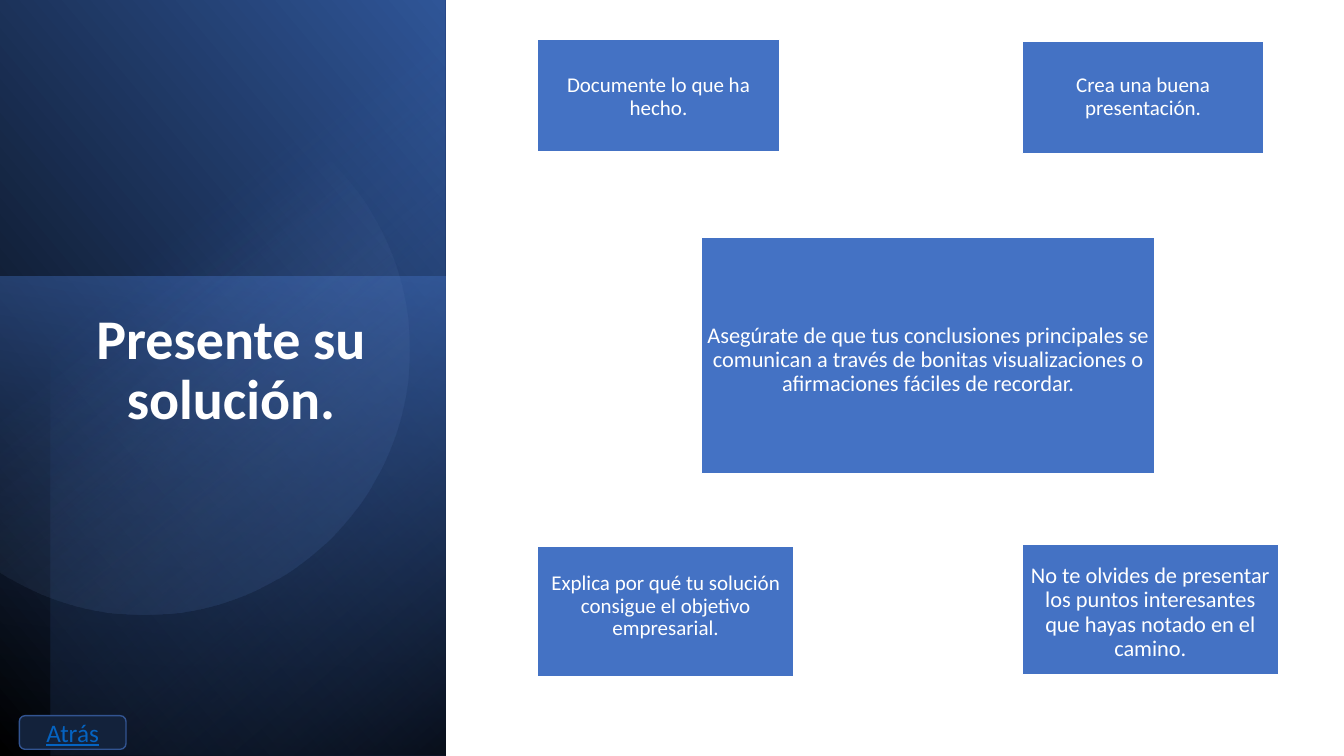
import math
import pptx
import pptx.dml.color
import pptx.enum.shapes
import pptx.enum.text
import pptx.oxml
import pptx.oxml.ns
import pptx.util

RGB = pptx.dml.color.RGBColor
WHITE = RGB(0xFF, 0xFF, 0xFF)
BLACK = RGB(0, 0, 0)
BLUE = RGB(0x44, 0x72, 0xC4)
DEEP_BLUE = RGB(0x2F, 0x55, 0x97)
NIGHT_BLUE = RGB(0x20, 0x38, 0x64)
PALE_BLUE = RGB(0x8F, 0xAA, 0xDC)
BUTTON_FILL = RGB(0x13, 0x22, 0x3B)
BUTTON_LINE = RGB(0x32, 0x54, 0x91)
LINK_BLUE = RGB(0x05, 0x63, 0xC1)

SLIDE_WIDTH, SLIDE_HEIGHT = pptx.util.Inches(13.33), pptx.util.Inches(7.5)
COLUMNS, ROWS = 16, 9
PANEL_BOX = (0, 0, 5.3, 9)
CARDS_BOX = (5.3, 0, 10.7, 9)
CARD_INSET = 0.07
SHAPES = pptx.enum.shapes.MSO_SHAPE
MIDDLE = pptx.enum.text.MSO_ANCHOR.MIDDLE

BACKDROPS = [
    ((0, 0, 5.3, 9), 90, True, 310, [(0, BLACK, 100), (100, DEEP_BLUE, 100)]),
    ((0, 3.29, 5.3, 5.71), 270, False, 190, [(0, BLUE, 50), (100, NIGHT_BLUE, 0)]),
    ((0.6, 0, 4.7, 9), 270, True, 220, [(0, BLACK, 59), (69, BLUE, 0)]),
]
CARDS = [
    ("Documente lo que ha hecho.", (1.1, 0.47, 2.88, 1.34), 15, 0.02),
    ("No te olvides de presentar los puntos interesantes que hayas notado en el camino.",
     (6.87, 6.48, 3.05, 1.55), 16, 0.04),
    ("Crea una buena presentación.", (6.87, 0.49, 2.88, 1.34), 15, 0),
    ("Explica por qué tu solución consigue el objetivo empresarial.",
     (1.1, 6.5, 3.05, 1.56), 15, -0.06),
    ("Asegúrate de que tus conclusiones principales se comunican a través de bonitas "
     "visualizaciones o afirmaciones fáciles de recordar.",
     (3.05, 2.82, 5.4, 2.82), 16, 0.06),
]


def columns(count):
    """Return the length of a number of grid columns."""
    return round(SLIDE_WIDTH * count / COLUMNS)


def rows(count):
    """Return the length of a number of grid rows."""
    return round(SLIDE_HEIGHT * count / ROWS)


def place(region, box):
    """Return slide lengths for a box given relative to a region."""
    left, top, width, height = box
    return columns(region[0] + left), rows(region[1] + top), columns(width), rows(height)


def paint_gradient(shape, angle, stops):
    """Fill a shape with a linear gradient of (position, colour, opacity) stops."""
    shape.shadow.inherit = False
    shape.line.fill.background()
    shape.fill.background()
    marks = "".join(
        f'<a:gs pos="{position * 1000}"><a:srgbClr val="{colour}">'
        f'<a:alpha val="{opacity * 1000}"/></a:srgbClr></a:gs>'
        for position, colour, opacity in stops)
    gradient = pptx.oxml.parse_xml(
        f'<a:gradFill {pptx.oxml.ns.nsdecls("a")} rotWithShape="1"><a:gsLst>{marks}</a:gsLst>'
        f'<a:lin ang="{round(angle * 60000)}" scaled="0"/></a:gradFill>')
    properties = shape._element.spPr
    properties.replace(properties.find(pptx.oxml.ns.qn("a:noFill")), gradient)


def write_text(shape, words, line_spacing, font_format):
    """Write one centred paragraph with the given font values."""
    shape.text_frame.word_wrap = True
    para = shape.text_frame.paragraphs[0]
    para.alignment = pptx.enum.text.PP_ALIGN.CENTER
    para.line_spacing = line_spacing
    span = para.add_run()
    span.text = words
    span.font.name = "Calibri"
    span.font.color.rgb = font_format["colour"]
    for name, value in font_format.items():
        if name != "colour":
            setattr(span.font, name, value)


def add_block(page, kind, place_box, fill, line):
    """Add a flat shape with a solid fill and a thin outline."""
    shape = page.shapes.add_shape(kind, *place_box)
    shape.shadow.inherit = False
    shape.fill.solid()
    shape.fill.fore_color.rgb = fill
    shape.line.color.rgb = line
    shape.line.width = pptx.util.Pt(1)
    shape.text_frame.vertical_anchor = MIDDLE
    return shape


def add_backdrop(page, region, box, rotation, flipped, angle, stops):
    """Add a quarter-turned gradient rectangle that covers the box."""
    left, top, width, height = place(region, box)
    shape = page.shapes.add_shape(
        SHAPES.RECTANGLE, left + (width - height) // 2, top + (height - width) // 2, height, width)
    shape.rotation = rotation
    if flipped:
        shape._element.spPr.find(pptx.oxml.ns.qn("a:xfrm")).set("flipH", "1")
    paint_gradient(shape, angle, stops)


def add_disc(page, region):
    """Add the translucent disc cut off by the left edge of the region."""
    centre_column, centre_row, radius, steps = 1.72, 4.16, 3.15, 120
    limit = math.acos(-centre_column / radius)
    points = []
    for step in range(steps + 1):
        turn = limit * (2 * step / steps - 1)
        points.append((columns(region[0] + centre_column + radius * math.cos(turn)),
                       rows(region[1] + centre_row + radius * math.sin(turn))))
    builder = page.shapes.build_freeform(*points[0])
    builder.add_line_segments(points[1:], close=True)
    paint_gradient(builder.convert_to_shape(), 51.6, [(39, PALE_BLUE, 0), (100, DEEP_BLUE, 26)])


def add_title_panel(page, region):
    """Build the dark panel with its title and back button."""
    for backdrop in BACKDROPS:
        add_backdrop(page, region, *backdrop)
    add_disc(page, region)
    title = page.shapes.add_textbox(*place(region, (0.86, 3.64, 3.78, 2)))
    write_text(title, "Presente su solución.", 0.9,
               {"size": pptx.util.Pt(40), "bold": True, "colour": WHITE})
    button = add_block(page, SHAPES.ROUNDED_RECTANGLE, place(region, (0.23, 8.52, 1.27, 0.4)),
                       BUTTON_FILL, BUTTON_LINE)
    write_text(button, "Atrás", 1,
               {"size": pptx.util.Pt(18), "underline": True, "colour": LINK_BLUE})


def add_cards(page, region):
    """Build the advice cards, nudging each text by its own shift."""
    for words, box, size, shift in CARDS:
        card = add_block(page, SHAPES.RECTANGLE, place(region, box), BLUE, WHITE)
        insets = {"margin_left": columns(CARD_INSET), "margin_right": columns(CARD_INSET),
                  "margin_top": rows(CARD_INSET + shift), "margin_bottom": rows(CARD_INSET - shift)}
        for name, value in insets.items():
            setattr(card.text_frame, name, value)
        write_text(card, words, 0.9, {"size": pptx.util.Pt(size), "colour": WHITE})


def main():
    """Build and save the deck."""
    deck = pptx.Presentation()
    deck.slide_width, deck.slide_height = SLIDE_WIDTH, SLIDE_HEIGHT
    page = deck.slides.add_slide(deck.slide_layouts[6])
    add_title_panel(page, PANEL_BOX)
    add_cards(page, CARDS_BOX)
    deck.save("out.pptx")


if __name__ == "__main__":
    main()
